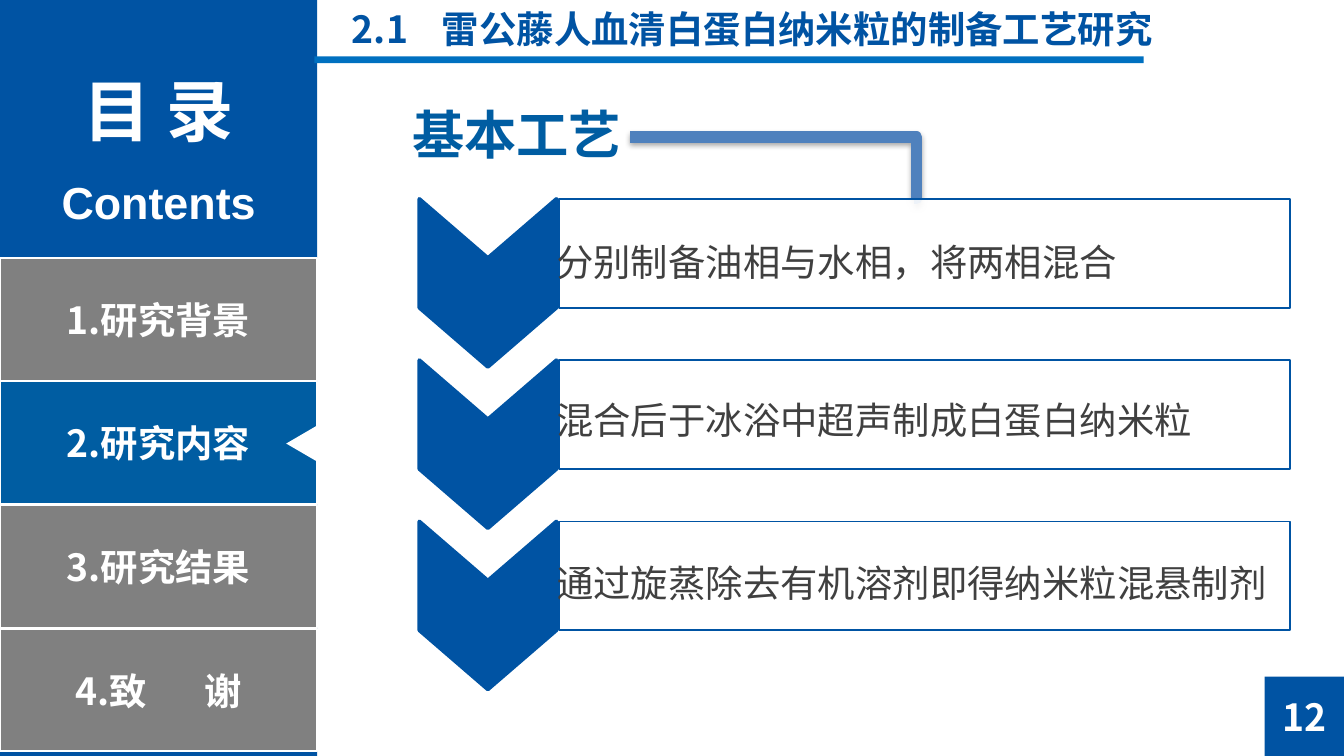
from lxml import etree
from pptx import Presentation
from pptx.dml.color import RGBColor
from pptx.enum.shapes import MSO_CONNECTOR, MSO_SHAPE
from pptx.enum.text import MSO_ANCHOR, PP_ALIGN
from pptx.oxml import parse_xml
from pptx.oxml.ns import nsdecls, qn
from pptx.util import Inches, Pt

RECTANGLE = MSO_SHAPE.RECTANGLE
TRIANGLE = MSO_SHAPE.ISOSCELES_TRIANGLE
ELBOW = MSO_CONNECTOR.ELBOW
LEFT, CENTER = PP_ALIGN.LEFT, PP_ALIGN.CENTER
MIDDLE = MSO_ANCHOR.MIDDLE

NAVY, BLUE, BRIGHT, STEEL = "0053A3", "005DA2", "0070C0", "4F81BD"
GRAY, DARK, WHITE = "808080", "404040", "FFFFFF"
CJK_FONT, LATIN_FONT = "Noto Sans CJK SC", "Arial"
SLIDE_WIDTH = 10
SLIDE_HEIGHT = SLIDE_WIDTH * 9 / 16
SIDEBAR_WIDTH = 2.36
PAGE_BOX = 0.59


def color(hex_string):
    return RGBColor.from_string(hex_string)


class SlideBuilder:
    def __init__(self, slide):
        self.slide = slide

    def style(self, paragraph, size, font_color, bold, font_name, align):
        paragraph.alignment = align
        font = paragraph.font
        font.size, font.bold, font.name = Pt(size), bold, font_name
        font.color.rgb = color(font_color)
        properties = paragraph._p.get_or_add_pPr().find(qn("a:defRPr"))
        east_asian = etree.SubElement(properties, qn("a:ea"))
        east_asian.set("typeface", CJK_FONT)

    def paint(self, shape, fill, line=None, line_width=1):
        shape.shadow.inherit = False
        shape.fill.solid()
        shape.fill.fore_color.rgb = color(fill)
        if line:
            shape.line.color.rgb = color(line)
            shape.line.width = Pt(line_width)
        else:
            shape.line.fill.background()

    def shape(self, kind, left, top, width, height, fill, line=None, line_width=1):
        shape = self.slide.shapes.add_shape(
            kind, Inches(left), Inches(top), Inches(width), Inches(height))
        self.paint(shape, fill, line, line_width)
        return shape

    def label(self, shape, text):
        """Write bold white text in the middle of a shape."""
        shape.text_frame.vertical_anchor = MIDDLE
        paragraph = shape.text_frame.paragraphs[0]
        paragraph.text = text
        self.style(paragraph, 20, WHITE, True, CJK_FONT, CENTER)
        return paragraph

    def text(self, text, left, top, width, height, size=20, font_color=NAVY,
             bold=True, font_name=CJK_FONT, align=LEFT):
        box = self.slide.shapes.add_textbox(
            Inches(left), Inches(top), Inches(width), Inches(height))
        box.text_frame.word_wrap = True
        paragraph = box.text_frame.paragraphs[0]
        paragraph.text = text
        self.style(paragraph, size, font_color, bold, font_name, align)
        return paragraph

    def tab_stop(self, paragraph, position):
        tabs = parse_xml(f'<a:tabLst {nsdecls("a")}>'
                         f'<a:tab pos="{Inches(position)}" algn="l"/></a:tabLst>')
        paragraph._p.get_or_add_pPr().find(qn("a:defRPr")).addprevious(tabs)

    def set_alpha(self, shape, percent):
        fill_color = shape._element.spPr.find(qn("a:solidFill"))[0]
        etree.SubElement(fill_color, qn("a:alpha")).set("val", str(percent * 1000))

    def chevron(self, left, top, width=1.02, side=0.81, notch=0.44):
        right, middle = left + width, left + width / 2
        points = [(right, top), (right, top + side), (middle, top + side + notch),
                  (left, top + side), (left, top), (middle, top + notch)]
        points = [(Inches(x), Inches(y)) for x, y in points]
        outline = self.slide.shapes.build_freeform(*points[0])
        outline.add_line_segments(points[1:], close=True)
        self.paint(outline.convert_to_shape(), NAVY, NAVY, 2)

    def elbow(self, x1, y1, x2, y2, line, line_width, bend):
        """Draw a bent connector with a soft shadow; bend is in percent of its width."""
        connector = self.slide.shapes.add_connector(
            ELBOW, Inches(x1), Inches(y1), Inches(x2), Inches(y2))
        connector.line.color.rgb = color(line)
        connector.line.width = Pt(line_width)
        properties = connector._element.spPr
        guide = etree.SubElement(
            properties.find(qn("a:prstGeom")).find(qn("a:avLst")), qn("a:gd"))
        guide.set("name", "adj1")
        guide.set("fmla", f"val {round(bend * 1000)}")
        properties.append(parse_xml(
            f'<a:effectLst {nsdecls("a")}>'
            f'<a:outerShdw blurRad="{Pt(3.1)}" dist="{Pt(1.8)}" dir="5400000" rotWithShape="0">'
            '<a:srgbClr val="000000"><a:alpha val="35000"/></a:srgbClr>'
            '</a:outerShdw></a:effectLst>'))


def add_sidebar(builder):
    builder.shape(RECTANGLE, 0, 0, SIDEBAR_WIDTH, SLIDE_HEIGHT, NAVY)
    for text, top, height, size in (("目 录", 0.47, 0.71, 36), ("Contents", 1.25, 0.5, 24)):
        builder.text(text, 0.12, top, 2.12, height, size, WHITE,
                     font_name=LATIN_FONT, align=CENTER)
    sections = ["1.研究背景", "2.研究内容", "3.研究结果", "4."]
    for index, section in enumerate(sections):
        fill = BLUE if index == 1 else GRAY
        button = builder.shape(RECTANGLE, 0, 1.92 + 0.92 * index, SIDEBAR_WIDTH, 0.91,
                               fill, WHITE, 0.75)
        paragraph = builder.label(button, section)
    # The two characters of the last section are set wide apart.
    spaced = paragraph.add_run()
    spaced.text = "致"
    spaced._r.get_or_add_rPr().set("spc", "3100")
    paragraph.add_run().text = "谢"
    builder.shape(TRIANGLE, 2.11, 3.18, 0.28, 0.24, WHITE).rotation = 270


def add_steps(builder):
    steps = [("分别制备油相与水相，将两相混合", 1.73),
             ("混合后于冰浴中超声制成白蛋白纳米粒", 2.91),
             ("通过旋蒸除去有机溶剂即得纳米粒混悬制剂", 4.12)]
    for index, (step, text_top) in enumerate(steps):
        top = 1.48 + 1.2 * index
        box = builder.shape(RECTANGLE, 4.16, top, 5.44, 0.81, WHITE, NAVY)
        builder.set_alpha(box, 90)
        builder.text(step, 4.04, text_top, 5.7, 0.44, font_color=DARK, bold=False)
        builder.chevron(3.12, top)


def main():
    presentation = Presentation()
    presentation.slide_width = Inches(SLIDE_WIDTH)
    presentation.slide_height = Inches(SLIDE_HEIGHT)
    builder = SlideBuilder(presentation.slides.add_slide(presentation.slide_layouts[6]))

    add_sidebar(builder)
    builder.elbow(4.69, 1.02, 6.8, 1.48, STEEL, 6, bend=100.9)
    title = builder.text("2.1\t雷公藤人血清白蛋白纳米粒的制备工艺研究", 2.52, 0, 6.46, 0.44)
    builder.tab_stop(title, 0.67)
    add_steps(builder)
    builder.shape(RECTANGLE, 2.34, 0.42, 6.17, 0.05, BRIGHT)
    heading = builder.text("基本工艺", 2.97, 0.78, 1.88, 0.51, 28, BLUE)
    heading.line_spacing, heading.space_after = Pt(28.8), Pt(6)
    page_box = builder.shape(RECTANGLE, SLIDE_WIDTH - PAGE_BOX, SLIDE_HEIGHT - PAGE_BOX,
                             PAGE_BOX, PAGE_BOX, NAVY)
    builder.label(page_box, "12")

    presentation.save("out.pptx")


if __name__ == "__main__":
    main()
